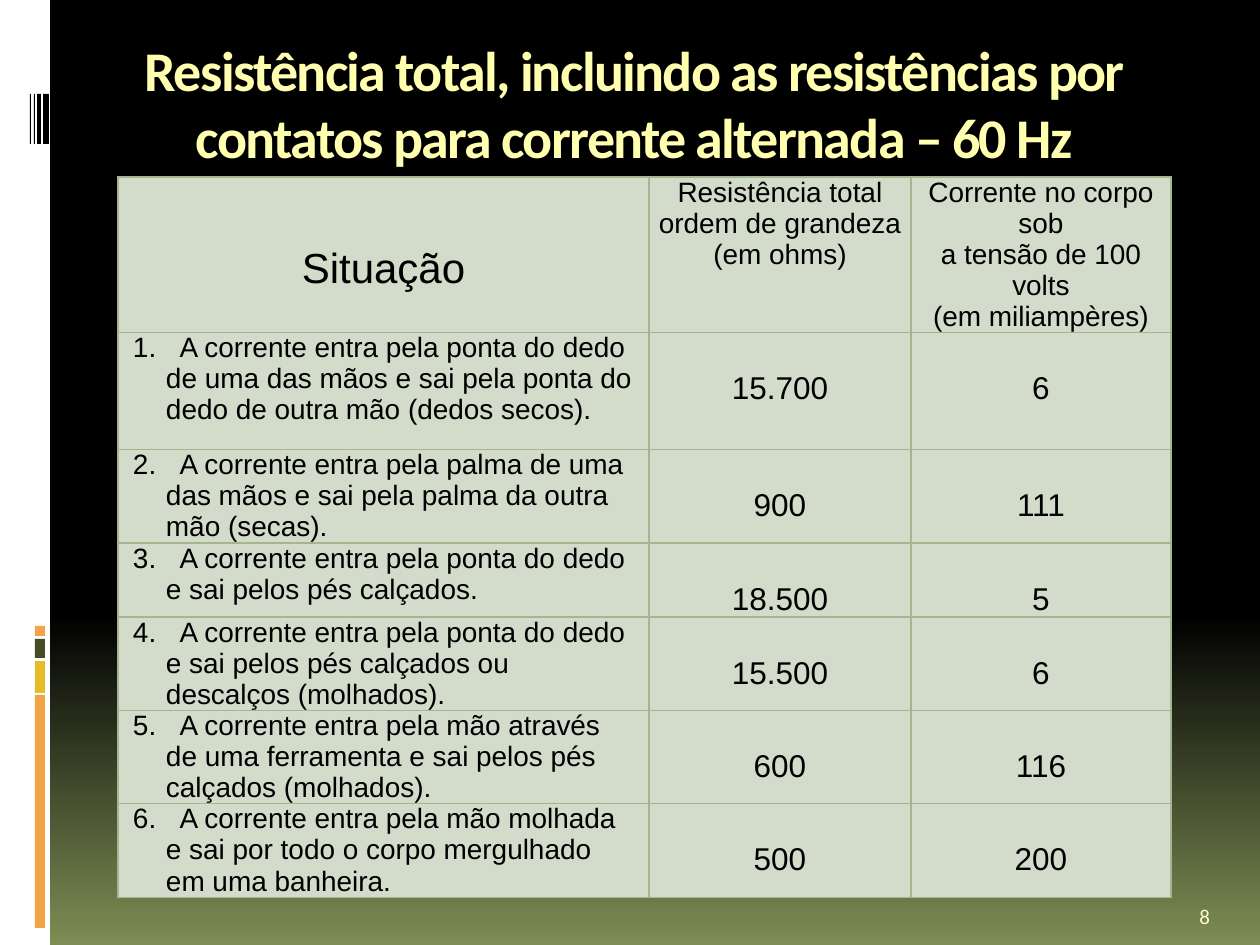
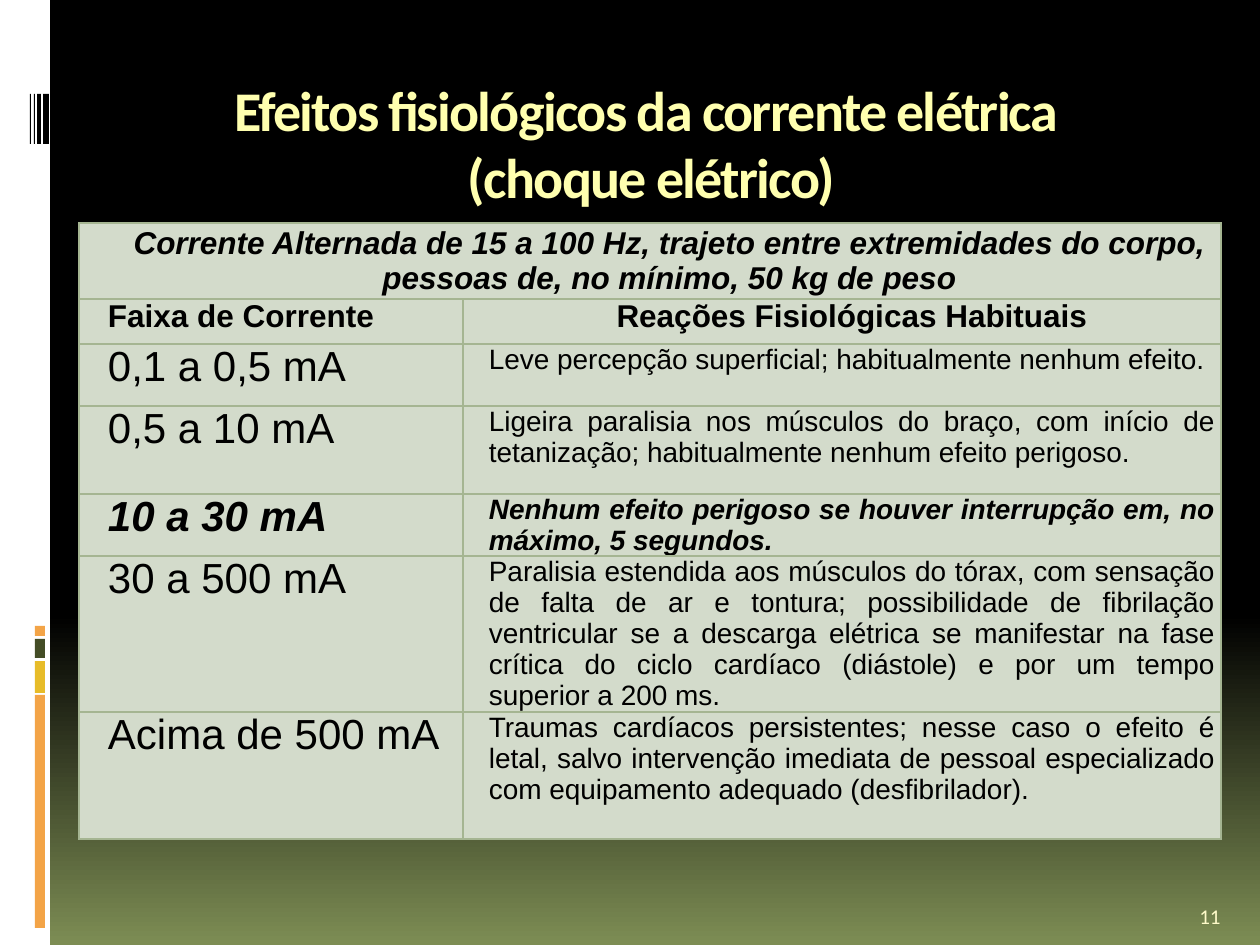
"""Builds two slides on electric shock: body resistance and physiological effects."""
from copy import deepcopy

from pptx import Presentation, util as u
from pptx.dml.color import RGBColor
from pptx.enum import shapes, text
from pptx.oxml import parse_xml
from pptx.oxml.ns import nsdecls

SCALE = 914400 // 126
CELL_LEADING = 1.11
BLACK = RGBColor(0x00, 0x00, 0x00)
WHITE = RGBColor(0xFF, 0xFF, 0xFF)
OLIVE = RGBColor(0x7D, 0x8D, 0x54)
MOSS = RGBColor(0x44, 0x4D, 0x26)
ORANGE = RGBColor(0xF3, 0xA4, 0x47)
GOLD = RGBColor(0xE7, 0xBC, 0x29)
TITLE_YELLOW = RGBColor(0xFF, 0xFF, 0xAF)
NUMBER_CREAM = RGBColor(0xFE, 0xFA, 0xC9)
CELL_GREEN = RGBColor(0xD3, 0xDB, 0xCB)
BORDER_GREEN = RGBColor(0xA5, 0xB5, 0x92)
LEFT, CENTER, JUSTIFY = text.PP_ALIGN.LEFT, text.PP_ALIGN.CENTER, text.PP_ALIGN.JUSTIFY
TOP, MIDDLE, BOTTOM = text.MSO_ANCHOR.TOP, text.MSO_ANCHOR.MIDDLE, text.MSO_ANCHOR.BOTTOM

BANDS = [
    (0, 0, 50, 945, WHITE),
    (35, 695, 10, 233, ORANGE),
    (35, 661, 10, 32, GOLD),
    (35, 639, 10, 19, MOSS),
    (35, 626, 10, 10, ORANGE),
    (43, 94, 6, 50, BLACK),
    (37, 94, 4, 50, BLACK),
    (34, 94, 1, 50, BLACK),
    (30, 94, 1, 50, BLACK),
]


def px(length):
    """Turn picture pixels into EMU."""
    return u.Emu(length * SCALE)


def write(frame, wording, size=16, font="Arial", color=BLACK, align=LEFT, bold=False,
          italic=False, spacing=0, left=0, hang=0, marker="", leading=None):
    """Fill a text frame with one formatted paragraph per line of wording."""
    for index, line in enumerate(wording.split("\n")):
        para = frame.add_paragraph() if index else frame.paragraphs[0]
        para.alignment = align
        if leading:
            para.line_spacing = u.Pt(size * leading)
        properties = para._p.get_or_add_pPr()
        properties.set("marL", str(px(left)))
        properties.set("indent", str(px(-hang)))
        pieces = [(line, spacing)]
        if marker:
            pieces = [(marker, 0), (" ", 890)] + pieces
        for piece, tracking in pieces:
            for part_index, part in enumerate(piece.split("\v")):
                if part_index:
                    para.add_line_break()
                span = para.add_run()
                span.text = part
                span.font.size = u.Pt(size)
                span.font.name = font
                span.font.color.rgb = color
                span.font.bold = bold
                span.font.italic = italic
                if tracking:
                    span._r.get_or_add_rPr().set("spc", str(tracking))


class Lecture:
    """Holds the deck, its shared style and the current slide."""

    def __init__(self):
        """Open a deck and give its master the gradient."""
        self.deck = Presentation()
        self.deck.slide_width, self.deck.slide_height = px(1260), px(945)
        self.page = None
        self.paint_background()

    def paint_background(self):
        """Paint the master black, fading to olive in the lower third."""
        master = self.deck.slide_master
        fill = master.background.fill
        fill.gradient()
        fill.gradient_angle = 270
        first, last = fill.gradient_stops
        first.color.rgb, first.position = BLACK, 0
        last.color.rgb, last.position = OLIVE, 1
        stops = master.element.xpath(".//p:bg//a:gsLst")[0]
        middle = deepcopy(stops[0])
        middle.set("pos", "65000")
        stops.insert(1, middle)

    def add_page(self, title, title_box, number):
        """Start a slide with its title and number."""
        first = self.page is None
        self.page = self.deck.slides.add_slide(self.deck.slide_layouts[5])
        if first:
            for band in BANDS:
                self.band(*band)
        self.title(title, *title_box)
        self.number(number)

    def band(self, left, top, width, height, color):
        """Add a plain rectangle to the master."""
        box = self.page.shapes.add_shape(
            shapes.MSO_SHAPE.RECTANGLE, px(left), px(top), px(width), px(height))
        box.shadow.inherit = False
        box.fill.solid()
        box.fill.fore_color.rgb = color
        box.line.fill.background()
        self.deck.slide_master.shapes.element.append(box.element)

    def title(self, wording, left, top, width, height):
        """Place and fill the title placeholder."""
        box = self.page.shapes.title
        box.left, box.top, box.width, box.height = px(left), px(top), px(width), px(height)
        frame = box.text_frame
        frame.word_wrap = True
        frame.auto_size = text.MSO_AUTO_SIZE.NONE
        frame.vertical_anchor = TOP
        write(frame, wording, size=32, font="Calibri", color=TITLE_YELLOW,
              align=CENTER, bold=True, spacing=-100)

    def number(self, number):
        """Show the slide number in the lower right corner."""
        frame = self.page.shapes.add_textbox(px(1187), px(885), px(63), px(50)).text_frame
        frame.word_wrap = True
        frame.vertical_anchor = BOTTOM
        write(frame, str(number), size=12, font="Calibri", color=NUMBER_CREAM)

    def table(self, left, top, widths, heights):
        """Add an empty table with the shared fill and borders."""
        table = self.page.shapes.add_table(
            len(heights), len(widths), px(left), px(top),
            px(sum(widths)), px(sum(heights))).table
        table.first_row = table.horz_banding = False
        for column, width in zip(table.columns, widths):
            column.width = px(width)
        for row, height in zip(table.rows, heights):
            row.height = px(height)
        for cell in table.iter_cells():
            cell.fill.solid()
            cell.fill.fore_color.rgb = CELL_GREEN
            properties = cell._tc.get_or_add_tcPr()
            for index, side in enumerate("LRTB"):
                properties.insert(index, parse_xml(
                    f'<a:ln{side} {nsdecls("a")} w="{u.Pt(0.94)}"><a:solidFill>'
                    f'<a:srgbClr val="{BORDER_GREEN}"/></a:solidFill></a:ln{side}>'))
        return table

    def cell(self, cell, wording, drop=0, right=6, anchor=TOP, **style):
        """Fill one table cell, its text lowered by drop."""
        cell.margin_left, cell.margin_right = px(6), px(right)
        cell.margin_top, cell.margin_bottom = px(drop), 0
        cell.vertical_anchor = anchor
        write(cell.text_frame, wording, leading=CELL_LEADING, **style)


SITUATIONS = [
    ("A corrente entra pela ponta do dedo de uma das mãos e sai pela ponta do dedo "
     "de outra mão (dedos secos).", "15.700", "6"),
    ("A corrente entra pela palma de uma das mãos e sai pela palma da outra mão "
     "(secas).", "900", "111"),
    ("A corrente entra pela ponta do dedo e sai pelos pés calçados.", "18.500", "5"),
    ("A corrente entra pela ponta do dedo e sai pelos pés calçados ou descalços "
     "(molhados).", "15.500", "6"),
    ("A corrente entra pela mão através de uma ferramenta e sai pelos pés calçados "
     "(molhados).", "600", "116"),
    ("A corrente entra pela mão molhada e sai por todo o corpo mergulhado em uma "
     "banheira.", "500", "200"),
]

REACTIONS = [
    ("0,1 a 0,5 mA", "Leve percepção superficial; habitualmente nenhum efeito."),
    ("0,5 a 10 mA", "Ligeira paralisia nos músculos do braço, com início de tetanização; "
     "habitualmente nenhum efeito perigoso."),
    ("10 a 30 mA", "Nenhum efeito perigoso se houver interrupção em, no máximo, 5 segundos."),
    ("30 a 500 mA", "Paralisia estendida aos músculos do tórax, com sensação de falta de ar "
     "e tontura; possibilidade de fibrilação ventricular se a descarga elétrica se "
     "manifestar na fase crítica do ciclo cardíaco (diástole) e por um tempo superior a "
     "200 ms."),
    ("Acima de 500 mA", "Traumas cardíacos persistentes; nesse caso o efeito é letal, salvo "
     "intervenção imediata de pessoal especializado com equipamento adequado "
     "(desfibrilador)."),
]


def resistance_page(lecture):
    """Build the slide on total resistance."""
    lecture.add_page("Resistência total, incluindo as resistências por contatos "
                     "para corrente alternada – 60 Hz", (69, 29, 1130, 158), 8)
    table = lecture.table(118, 177, [531, 262, 260], [155, 117, 93, 74, 93, 93, 94])
    lecture.cell(table.cell(0, 0), "Situação", drop=69, size=24, align=CENTER)
    lecture.cell(table.cell(0, 1), "Resistência total\nordem de grandeza\n(em ohms)",
                 align=CENTER)
    lecture.cell(table.cell(0, 2), "Corrente no corpo sob\na tensão de 100 volts\n"
                 "(em miliampères)", align=CENTER)
    for row, (situation, *values) in enumerate(SITUATIONS, 1):
        lecture.cell(table.cell(row, 0), situation, right=14, left=42, hang=33,
                     marker=f"{row}.")
        for column, value in enumerate(values, 1):
            lecture.cell(table.cell(row, column), value, drop=39, size=18, align=CENTER)


def effects_page(lecture):
    """Build the slide on physiological effects."""
    lecture.add_page("Efeitos fisiológicos da corrente elétrica\v (choque elétrico)",
                     (81, 69, 1130, 168), 11)
    table = lecture.table(79, 223, [384, 758], [76, 45, 62, 88, 62, 156, 127])
    table.cell(0, 0).merge(table.cell(0, 1))
    lecture.cell(table.cell(0, 0), "Corrente Alternada de 15 a 100 Hz, trajeto entre "
                 "extremidades do corpo, pessoas de, no mínimo, 50 kg de peso",
                 anchor=MIDDLE, size=18, align=CENTER, bold=True, italic=True, left=39)
    lecture.cell(table.cell(1, 0), "Faixa de Corrente", size=18, bold=True, left=23)
    lecture.cell(table.cell(1, 1), "Reações Fisiológicas Habituais", size=18, bold=True,
                 align=CENTER, left=20)
    for row, (current, reaction) in enumerate(REACTIONS, 2):
        strong = current == "10 a 30 mA"
        lecture.cell(table.cell(row, 0), current, size=24, left=23,
                     bold=strong, italic=strong)
        lecture.cell(table.cell(row, 1), reaction, align=JUSTIFY, left=20,
                     bold=strong, italic=strong)


lecture = Lecture()
resistance_page(lecture)
effects_page(lecture)
lecture.deck.save("out.pptx")
